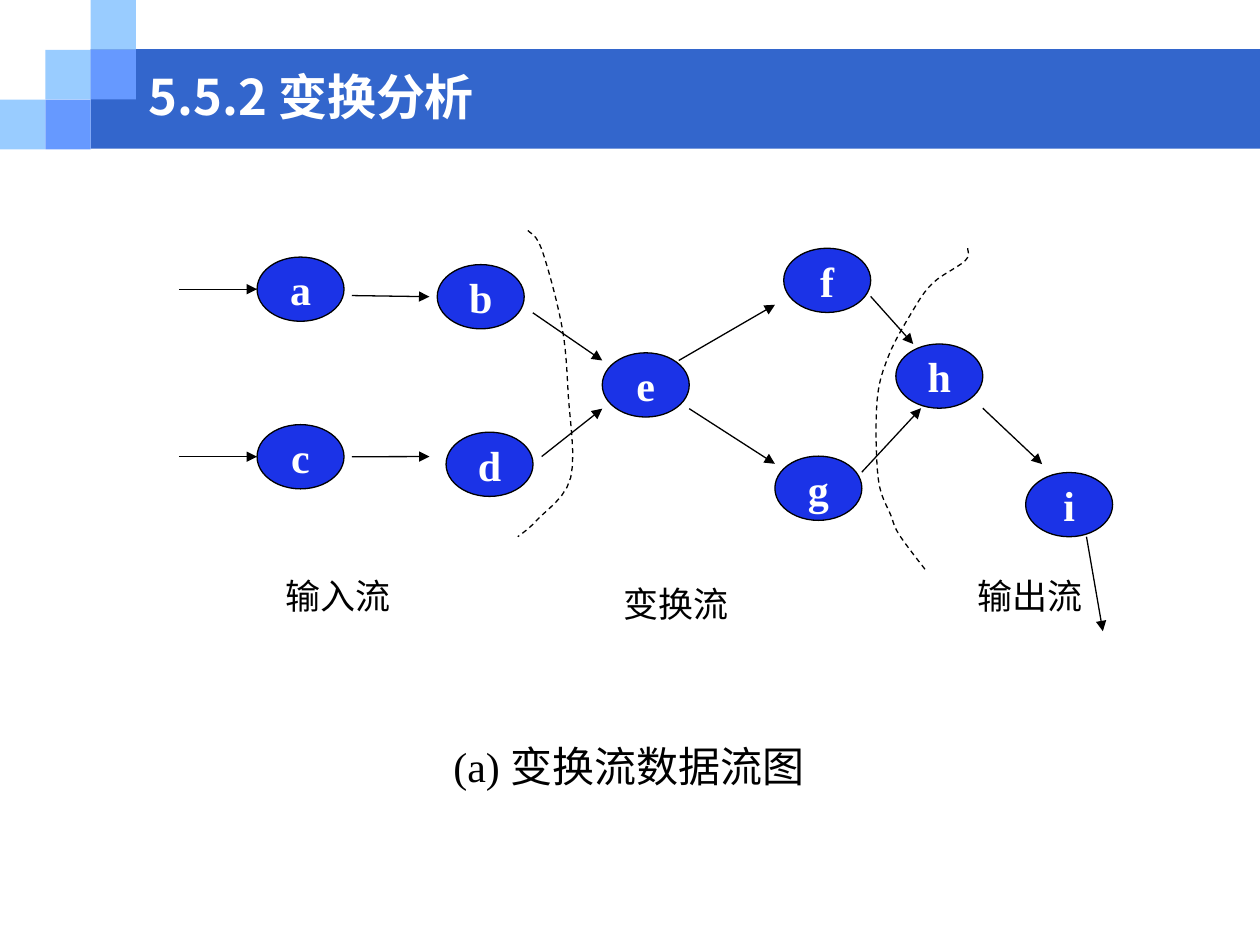
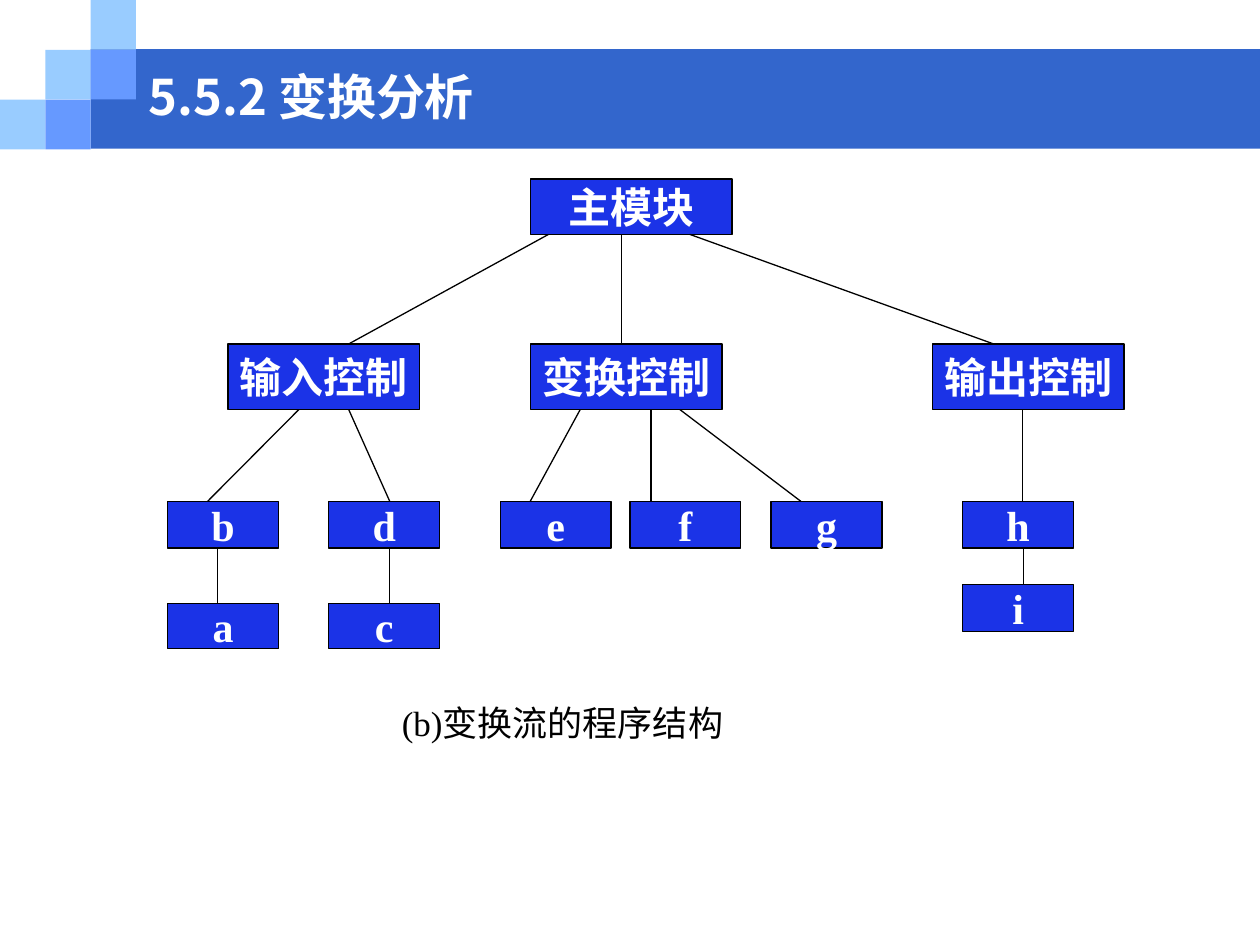
"""Build two slides on transform analysis: a data flow chart and its module tree."""
import lxml.etree
import pptx
import pptx.dml.color
import pptx.enum.dml
import pptx.enum.shapes
import pptx.enum.text
import pptx.oxml.ns
import pptx.util

Inches = pptx.util.Inches
RGB = pptx.dml.color.RGBColor
KIND = pptx.enum.shapes.MSO_SHAPE
ALIGN = pptx.enum.text.PP_ALIGN
MIDDLE = pptx.enum.text.MSO_ANCHOR.MIDDLE
qn = pptx.oxml.ns.qn

BAND = RGB(0x33, 0x66, 0xCC)
PALE = RGB(0x99, 0xCC, 0xFF)
MID = RGB(0x66, 0x99, 0xFF)
NODE = RGB(0x1B, 0x33, 0xE7)
BLACK = RGB(0, 0, 0)
WHITE = RGB(255, 255, 255)
SERIF = "Times New Roman"
SANS = "Noto Sans CJK SC"

TITLE = "5.5.2 变换分析"
TITLE_AT = (1.08, 0.5, 8.08, 0.53)
TITLE_FONT = {"size": pptx.util.Pt(28), "name": SANS, "bold": True}
NODE_FONT = {"size": pptx.util.Pt(24), "name": SERIF, "bold": True}
LABEL_FONT = {"size": pptx.util.Pt(20), "name": SERIF, "bold": False}
CAPTION_FONT = {"size": pptx.util.Pt(24), "name": SERIF, "bold": False}

TILE = (0.36, 0.395)
BAND_AT = (0.72, 0.39, 9.28, 0.79)
TILES = [(0, 2, PALE), (1, 1, PALE), (2, 0, PALE), (2, 1, MID), (1, 2, MID)]

OVAL = (0.69, 0.51)
OVALS = {
    "a": (2.04, 2.04), "b": (3.47, 2.1), "c": (2.04, 3.37),
    "d": (3.54, 3.43), "e": (4.78, 2.8), "f": (6.22, 1.97),
    "g": (6.15, 3.62), "h": (7.11, 2.73), "i": (8.14, 3.75),
}
# Each spot is a share of the oval's width and height from its top left.
ARROWS = [
    ("a", (1.09, 0.6), "b", (-0.09, 0.5)),
    ("c", (1.09, 0.5), "d", (-0.19, 0.38)),
    ("b", (1.1, 0.75), "e", (0, 0.12)),
    ("d", (1.1, 0.38), "e", (0, 0.87)),
    ("e", (0.88, 0.12), "f", (-0.1, 0.88)),
    ("e", (1, 0.87), "g", (0, 0.12)),
    ("f", (1, 0.75), "h", (0.2, 0)),
    ("g", (1, 0.25), "h", (0.29, 1)),
    ("h", (1, 1), "i", (0.19, -0.13)),
]
SOURCES = ["a", "c"]
INFLOW = 0.62
SINK = ("i", (0.7, 1))
OUTFLOW = (0.13, 0.75)

IN_EDGE = [(4.19, 1.83), (4.3, 1.98), (4.46, 2.59), (4.51, 3.13),
           (4.53, 3.79), (4.26, 4.13), (4.11, 4.26)]
OUT_EDGE = [(7.68, 1.97), (7.66, 2.07), (7.4, 2.25), (7.23, 2.49), (7.05, 2.83),
            (6.96, 3.19), (6.97, 3.8), (7.07, 4.09), (7.14, 4.25), (7.35, 4.53)]
FLOWS = [("输入流", 2.17, 4.51), ("变换流", 4.85, 4.57), ("输出流", 7.66, 4.51)]
FLOW_CAPTION = ("(a) 变换流数据流图", (3.5, 5.83, 4, 0.5))

ROWS = [
    (1.42, 1.6, 0.44, {"主模块": 4.21}),
    (2.73, 1.52, 0.52, {"输入控制": 1.81, "变换控制": 4.21, "输出控制": 7.4}),
    (3.98, 0.88, 0.37, {"b": 1.33, "d": 2.61, "e": 3.97,
                        "f": 5, "g": 6.12, "h": 7.64}),
    (4.79, 0.88, 0.36, {"a": 1.33, "c": 2.61}),
    (4.64, 0.88, 0.37, {"i": 7.64}),
]
UPRIGHT = None
LINKS = [
    ("主模块", 0.45, "变换控制", UPRIGHT),
    ("主模块", 0.09, "输入控制", 0.63),
    ("主模块", 0.79, "输出控制", 0.32),
    ("输入控制", 0.37, "b", 0.36),
    ("输入控制", 0.63, "d", 0.55),
    ("变换控制", 0.26, "e", 0.27),
    ("变换控制", 0.63, "f", UPRIGHT),
    ("变换控制", 0.78, "g", 0.27),
    ("输出控制", 0.47, "h", UPRIGHT),
    ("b", 0.45, "a", UPRIGHT),
    ("d", 0.55, "c", UPRIGHT),
    ("h", 0.55, "i", UPRIGHT),
]
TREE_CAPTION = ("(b)变换流的程序结构", (3.09, 5.52, 3.99, 0.44))


def apply(part, values):
    for key, value in values.items():
        setattr(part, key, value)


def emu(sizes):
    return [Inches(size) for size in sizes]


def write(frame, text, font, color, align=ALIGN.LEFT):
    para = frame.paragraphs[0]
    para.alignment = align
    run = para.add_run()
    run.text = text
    apply(run.font, font)
    run.font.color.rgb = color
    lxml.etree.SubElement(run._r.get_or_add_rPr(), qn("a:ea"), typeface=SANS)


def stroke(line):
    line.color.rgb = BLACK
    line.width = pptx.util.Pt(0.75)


def block(slide, kind, place, color):
    shape = slide.shapes.add_shape(kind, *emu(place))
    shape.shadow.inherit = False
    shape.fill.solid()
    shape.fill.fore_color.rgb = color
    shape.line.fill.background()
    return shape


def node(slide, kind, place, text):
    shape = block(slide, kind, place, NODE)
    stroke(shape.line)
    apply(shape.text_frame, {"word_wrap": False, "vertical_anchor": MIDDLE})
    write(shape.text_frame, text, NODE_FONT, WHITE, ALIGN.CENTER)


def label(slide, text, place, font):
    frame = slide.shapes.add_textbox(*emu(place)).text_frame
    frame.word_wrap = True
    write(frame, text, font, BLACK)


def link(slide, start, end, arrow=False):
    straight = pptx.enum.shapes.MSO_CONNECTOR.STRAIGHT
    line = slide.shapes.add_connector(straight, *emu(start + end))
    stroke(line.line)
    props = line.element.spPr
    if arrow:
        lxml.etree.SubElement(props.find(qn("a:ln")), qn("a:tailEnd"), type="triangle")
    lxml.etree.SubElement(props, qn("a:effectLst"))


def blend(a, b, c, d, t):
    """Return the Catmull-Rom value at share t of the way from b to c."""
    return b + t / 2 * (c - a + t * (2 * a - 5 * b + 4 * c - d
                                     + t * (3 * (b - c) + d - a)))


def smooth(stops, steps=6):
    """Yield points of a smooth curve that passes through all stops."""
    padded = [stops[0], *stops, stops[-1]]
    for four in zip(padded, padded[1:], padded[2:], padded[3:]):
        for n in range(1, steps + 1):
            yield emu(blend(*axis, n / steps) for axis in zip(*four))


def edge(slide, stops):
    pen = slide.shapes.build_freeform(*emu(stops[0]))
    pen.add_line_segments(list(smooth(stops)), close=False)
    shape = pen.convert_to_shape()
    shape.shadow.inherit = False
    shape.fill.background()
    stroke(shape.line)
    shape.line.dash_style = pptx.enum.dml.MSO_LINE.DASH


def dress(slide, layout):
    """Draw the band and tiles, then move them to the layout both slides use."""
    wide, high = TILE
    parts = [(BAND_AT, BAND)]
    parts += [((col * wide, row * high, wide, high), color) for col, row, color in TILES]
    for n, (place, color) in enumerate(parts):
        part = block(slide, KIND.RECTANGLE, place, color).element
        part.nvSpPr.cNvPr.id = 20 + n
        layout.shapes.element.insert(2 + n, part)


def start(deck, layout):
    slide = deck.slides.add_slide(layout)
    title = slide.shapes.title
    apply(title, dict(zip(("left", "top", "width", "height"), emu(TITLE_AT))))
    apply(title.text_frame, {"word_wrap": True, "vertical_anchor": MIDDLE,
                             "auto_size": pptx.enum.text.MSO_AUTO_SIZE.NONE})
    write(title.text_frame, TITLE, TITLE_FONT, WHITE)
    return slide


def spot(name, share):
    """Return the point at a share of the named oval's width and height."""
    return tuple(at + size * part for at, size, part in zip(OVALS[name], OVAL, share))


def draw_flow(slide):
    for name, corner in OVALS.items():
        node(slide, KIND.OVAL, corner + OVAL, name)
    for name in SOURCES:
        x, y = spot(name, (0, 0.5))
        link(slide, (x - INFLOW, y), (x, y), arrow=True)
    for tail, leave, head, enter in ARROWS:
        link(slide, spot(tail, leave), spot(head, enter), arrow=True)
    x, y = spot(*SINK)
    link(slide, (x, y), (x + OUTFLOW[0], y + OUTFLOW[1]), arrow=True)
    for stops in (IN_EDGE, OUT_EDGE):
        edge(slide, stops)
    for text, left, top in FLOWS:
        label(slide, text, (left, top, 1.51, 0.44), LABEL_FONT)
    label(slide, *FLOW_CAPTION, CAPTION_FONT)


def draw_tree(slide):
    boxes = {name: (left, top, width, height)
             for top, width, height, row in ROWS for name, left in row.items()}
    for name, place in boxes.items():
        node(slide, KIND.RECTANGLE, place, name)
    for parent, leave, child, enter in LINKS:
        left, top, width, height = boxes[parent]
        x = left + leave * width
        low, roof, span, _ = boxes[child]
        foot = x if enter is UPRIGHT else low + enter * span
        link(slide, (x, top + height), (foot, roof))
    label(slide, *TREE_CAPTION, LABEL_FONT)


def main():
    deck = pptx.Presentation()
    apply(deck, {"slide_width": Inches(10), "slide_height": Inches(7.5)})
    layout = deck.slide_layouts[5]
    flow, tree = start(deck, layout), start(deck, layout)
    dress(flow, layout)
    draw_flow(flow)
    draw_tree(tree)
    deck.save("out.pptx")


if __name__ == "__main__":
    main()
